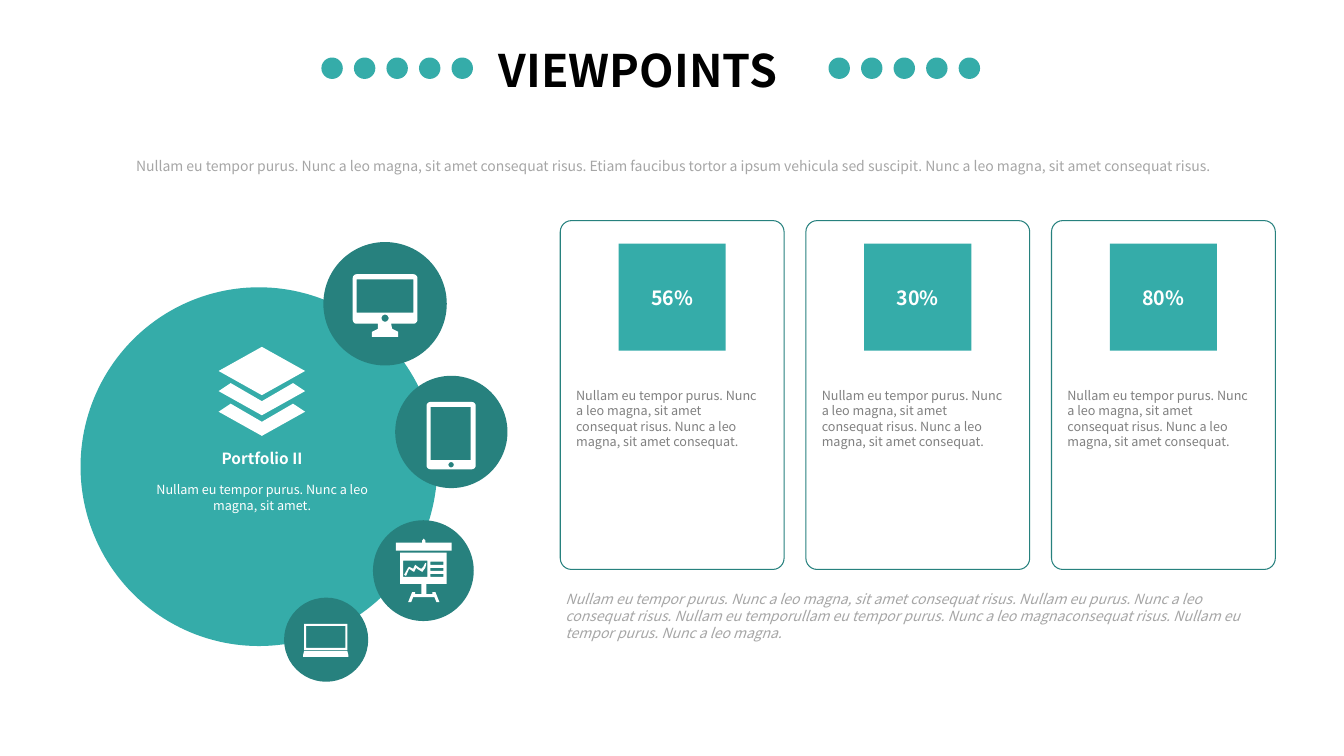
import math
import pptx
import pptx.util
import pptx.dml.color
import pptx.enum.shapes
import pptx.enum.text
from pptx.util import Cm

COLORS = {"teal": "35ACA9", "dark": "27817E", "white": "FFFFFF",
          "black": "000000", "grey": "808080", "pale": "A6A6A6"}
FONT = "Noto Sans CJK JP"
SHAPES = pptx.enum.shapes.MSO_SHAPE
ALIGN = pptx.enum.text.PP_ALIGN
ANCHOR = pptx.enum.text.MSO_ANCHOR


def rgb(name):
    return pptx.dml.color.RGBColor.from_string(COLORS[name])


def paint(sp, fill=None, line=None):
    sp.shadow.inherit = False
    if fill:
        sp.fill.solid()
        sp.fill.fore_color.rgb = rgb(fill)
    else:
        sp.fill.background()
    if line:
        sp.line.color.rgb = rgb(line)
        sp.line.width = pptx.util.Pt(0.75)
    else:
        sp.line.fill.background()


def shape(s, kind, x, y, w, h, **colors):
    sp = s.shapes.add_shape(kind, Cm(x), Cm(y), Cm(w), Cm(h))
    paint(sp, **colors)
    return sp


def write(p, text, size=9, color="grey", bold=False, italic=False, align=ALIGN.LEFT, before=0):
    p.alignment = align
    if before:
        p.space_before = pptx.util.Pt(before)
    r = p.add_run()
    r.text = text
    r.font.name = FONT
    r.font.size = pptx.util.Pt(size)
    r.font.bold = bold
    r.font.italic = italic
    r.font.color.rgb = rgb(color)


def textbox(s, x, y, w, h, inset=(0.18, 0.08), wrap=True, anchor=ANCHOR.TOP):
    tf = s.shapes.add_textbox(Cm(x), Cm(y), Cm(w), Cm(h)).text_frame
    tf.word_wrap = wrap
    tf.vertical_anchor = anchor
    tf.margin_left = tf.margin_right = Cm(inset[0])
    tf.margin_top = tf.margin_bottom = Cm(inset[1])
    return tf


# Outlines, in the grid units of an icon
def rect(x, y, w, h):
    return [(x, y), (x + w, y), (x + w, y + h), (x, y + h)]


def arc(cx, cy, radius, start, end, steps):
    angles = [math.radians(start + (end - start) * i / steps) for i in range(steps + 1)]
    return [(cx + radius * math.cos(a), cy + radius * math.sin(a)) for a in angles]


def circle(cx, cy, radius):
    return arc(cx, cy, radius, 0, 360, 24)


def rounded(w, h, radius):
    corners = [(w - radius, h - radius), (radius, h - radius),
               (radius, radius), (w - radius, radius)]
    return [pt for i, (cx, cy) in enumerate(corners)
            for pt in arc(cx, cy, radius, 90 * i, 90 * i + 90, 6)]


def chevron(top):
    return [(43, top + 18), (12, top), (0, top + 8), (43, top + 32), (86, top + 8), (74, top)]


# Each icon: grid width, then its parts; each part is a list of outlines
MONITOR = (64, [[rounded(64, 49, 4), rect(4, 5, 56, 33), circle(32, 43.5, 3.5),
                 [(25, 49), (38, 49), (39, 54), (45, 57), (45, 62), (19, 62), (19, 57), (25, 54)]]])
TABLET = (49, [[rounded(49, 67, 4), rect(4, 5, 40, 53), circle(24.5, 62.5, 2.7)]])
BOARD = (55, [
    [[(29, 4), (29, 2), (27.5, 0), (26, 2), (26, 4), (0, 4), (0, 12), (55, 12), (55, 4)]],
    [[(50, 45), (50, 14), (4, 14), (4, 45), (25, 45), (25, 55), (19, 55), (19, 53), (16, 53),
      (12, 63), (15, 63), (17, 58), (38, 58), (40, 63), (43, 63), (39, 53), (36, 53), (36, 55),
      (30, 55), (30, 45)],
     rect(7, 22, 24, 16)] + [rect(34, 23 + 6 * i, 13, 3) for i in range(3)],
    [[(27, 28), (25, 30), (23, 29), (19, 26), (18, 28), (17, 30), (13, 28), (12, 29), (8, 36),
      (10, 37), (13, 30), (16, 32), (18, 33), (20, 29), (21, 30), (26, 33), (29, 29), (30, 25),
      (29, 24)]]])
LAPTOP = (45, [[rect(1, 0, 43, 26), rect(3, 2, 39, 22)],
               [[(45, 31), (44, 27), (1, 27), (0, 31), (0, 33), (45, 33)]]])
LAYERS = (86, [[chevron(36)], [chevron(56.5)], [[(86, 24), (43, 0), (0, 24), (43, 48)]]])


def icon(s, x, y, w, design):
    columns, parts = design
    fine = 10  # outline points are whole numbers on a ten times finer grid
    for outlines in parts:
        fb = None
        for outline in outlines:
            points = [(px * fine, py * fine) for px, py in outline]
            if fb is None:
                fb = s.shapes.build_freeform(*points[0], scale=Cm(w) / (columns * fine))
            else:
                fb.move_to(*points[0])
            fb.add_line_segments(points[1:], close=True)
        paint(fb.convert_to_shape(Cm(x), Cm(y)), fill="white")


# Heading between two rows of dots
def heading(s, x, y, text):
    for start in (0, 12.78):
        for i in range(5):
            shape(s, SHAPES.OVAL, x + start + 0.82 * i, y + 0.51, 0.54, 0.54, fill="teal")
    tf = textbox(s, x + 4.22, y, 8.31, 1.63, inset=(0.25, 0.13), wrap=False)
    write(tf.paragraphs[0], text, size=32, color="black", bold=True)


# Large disc with device discs on its rim
def portfolio(s, x, y):
    shape(s, SHAPES.OVAL, x, y + 1.14, 8.99, 9.04, fill="teal")
    devices = [  # disc left, top, diameter; icon left, top, width
        (6.12, 0, 3.11, 0.74, 0.81, 1.63, MONITOR),
        (7.93, 3.37, 2.83, 0.79, 0.66, 1.24, TABLET),
        (7.37, 7.01, 2.54, 0.58, 0.46, 1.4, BOARD),
        (5.13, 8.96, 2.12, 0.48, 0.66, 1.14, LAPTOP)]
    for dx, dy, d, ix, iy, iw, design in devices:
        shape(s, SHAPES.OVAL, x + dx, y + dy, d, d, fill="dark")
        icon(s, x + dx + ix, y + dy + iy, iw, design)
    icon(s, x + 3.48, y + 2.64, 2.18, LAYERS)
    tf = textbox(s, x + 1.58, y + 5.13, 5.99, 1.8)
    write(tf.paragraphs[0], "Portfolio II", size=11, color="white", bold=True, align=ALIGN.CENTER)
    write(tf.add_paragraph(), "Nullam eu tempor purus. Nunc a leo magna, sit amet.",
          color="white", align=ALIGN.CENTER, before=10.7)


# Outlined card with a percentage tile and a text
def card(s, x, y, w, h, percent):
    sp = shape(s, SHAPES.ROUNDED_RECTANGLE, x, y, w, h, line="dark")
    sp.adjustments[0] = 0.05
    tile = 2.7
    sp = shape(s, SHAPES.RECTANGLE, x + (w - tile) / 2, y + 0.58, tile, tile, fill="teal")
    tf = sp.text_frame
    tf.vertical_anchor = ANCHOR.MIDDLE
    write(tf.paragraphs[0], percent, size=14, color="white", bold=True, align=ALIGN.CENTER)
    tf = textbox(s, x + 0.22, y + 4.14, 4.95, 1.7)
    write(tf.paragraphs[0], "Nullam eu tempor purus. Nunc a leo magna, sit amet consequat risus. "
          "Nunc a leo magna, sit amet consequat.")


def main():
    prs = pptx.Presentation()
    prs.slide_width, prs.slide_height = Cm(33.87), Cm(19.05)
    s = prs.slides.add_slide(prs.slide_layouts[6])
    heading(s, 8.1, 0.94, "VIEWPOINTS")
    tf = textbox(s, 2.06, 3.68, 29.79, 1.02, anchor=ANCHOR.MIDDLE)
    write(tf.paragraphs[0], "Nullam eu tempor purus. Nunc a leo magna, sit amet consequat risus. "
          "Etiam faucibus tortor a ipsum vehicula sed suscipit. "
          "Nunc a leo magna, sit amet consequat risus.",
          size=10, color="pale", align=ALIGN.CENTER)
    portfolio(s, 2.03, 6.1)
    for i, percent in enumerate(("56%", "30%", "80%")):
        card(s, 14.12 + 6.19 * i, 5.56, 5.64, 8.79, percent)
    tf = textbox(s, 14.07, 14.81, 18.06, 1.45)
    write(tf.paragraphs[0], "Nullam eu tempor purus. Nunc a leo magna, sit amet consequat risus. "
          "Nullam eu purus. Nunc a leo consequat risus. Nullam eu temporullam eu tempor purus. "
          "Nunc a leo magnaconsequat risus. Nullam eu tempor purus. Nunc a leo magna.",
          size=10, color="pale", italic=True)
    prs.save("out.pptx")


if __name__ == "__main__":
    main()
